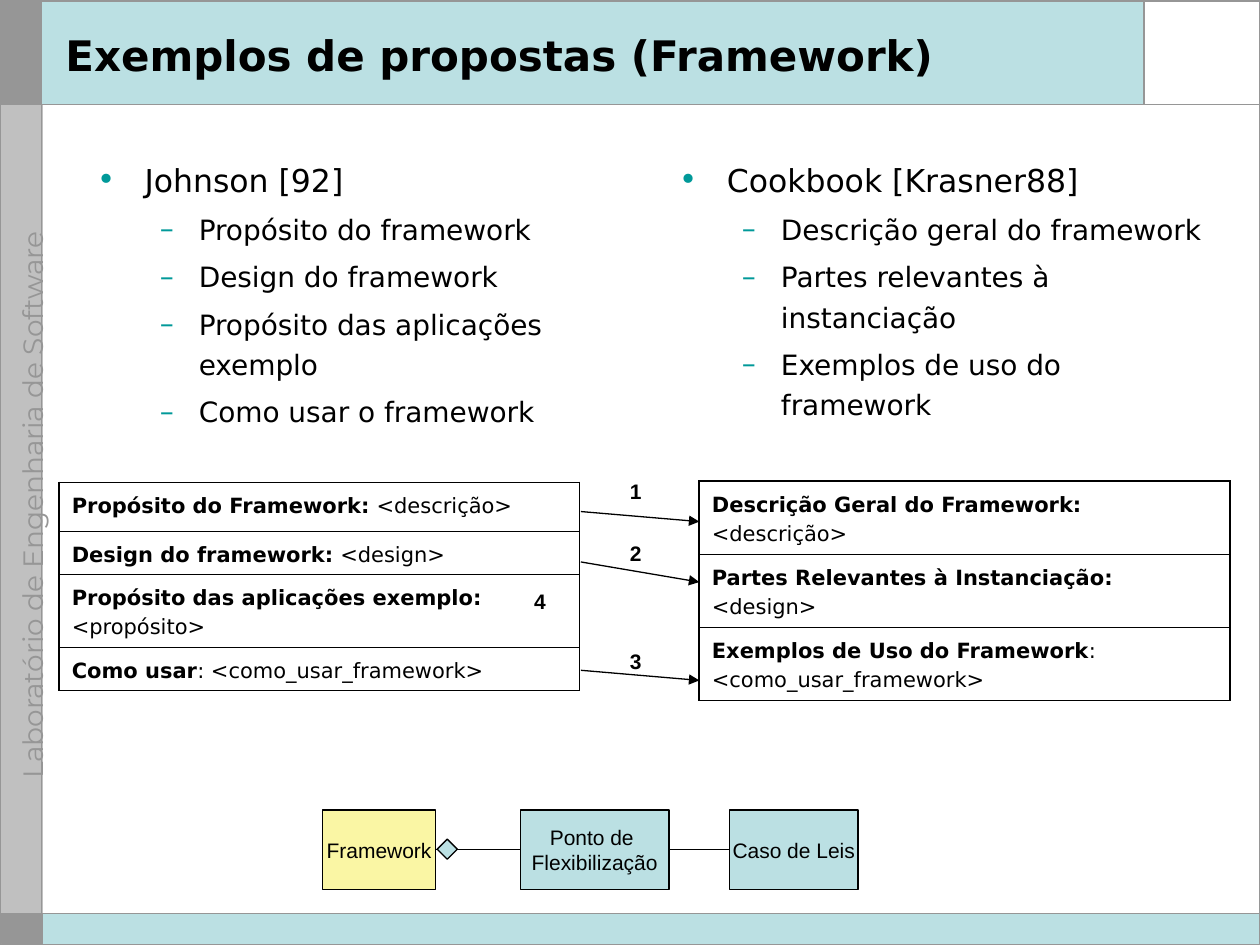
from lxml import etree
from pptx import Presentation
from pptx import util as u
from pptx.dml.color import RGBColor
from pptx.enum import shapes, text
from pptx.oxml import ns

PX = u.Inches(1) // 100
BLACK, GREY, SILVER, WHITE = "000000", "969696", "C0C0C0", "FFFFFF"
AQUA, TEAL, YELLOW = "BBE0E3", "009999", "FAF6A4"
SANS, ARIAL = "DejaVu Sans", "Arial"

PANELS = [
    ((1, 1, 33, 83), GREY, GREY),
    ((33, 0, 967, 83), AQUA, None),
    ((1, 83, 33, 642), SILVER, SILVER),
    ((908, 0, 92, 83), WHITE, None),
    ((33, 725, 967, 25), AQUA, None),
    ((1, 725, 33, 24), GREY, GREY),
]
RULES = [(908, 0, 908, 83), (0, 83, 1000, 83), (33, 0, 33, 750), (0, 725, 1000, 725)]
SIDE_LABEL = "Laboratório de Engenharia de Software"
TITLE = "Exemplos de propostas (Framework)"
LISTS = [
    (67, "Johnson [92]", ["Propósito do framework", "Design do framework",
                          "Propósito das aplicações exemplo", "Como usar o framework"]),
    (529, "Cookbook [Krasner88]", ["Descrição geral do framework",
                                   "Partes relevantes à instanciação",
                                   "Exemplos de uso do framework"]),
]
LEVELS = [
    dict(size=18, before=0, left=38, hang=38, mark="•"),
    dict(size=16, before=4, left=81, hang=31, mark="–"),
]
TABLES = [
    ((47, 383, 413), [
        (39, "Propósito do Framework:", " <descrição>"),
        (34, "Design do framework:", " <design>"),
        (58, "Propósito das aplicações exemplo:", " <propósito>"),
        (34, "Como usar", ": <como_usar_framework>"),
    ]),
    ((555, 382, 421), [
        (58, "Descrição Geral do Framework:", " <descrição>"),
        (58, "Partes Relevantes à Instanciação:", " <design>"),
        (58, "Exemplos de Uso do Framework", ": <como_usar_framework>"),
    ]),
]
ARROWS = [(461, 406, 555, 414), (461, 446, 555, 462), (461, 532, 555, 540)]
NUMBERS = [(490, 375), (490, 424), (490, 510), (414, 462)]
CLASSES = [
    (256, 90, YELLOW, "Framework"),
    (413, 118, AQUA, "Ponto de \nFlexibilização"),
    (579, 102, AQUA, "Caso de Leis"),
]
CLASS_TOP, CLASS_HEIGHT, LINK_Y = 643, 63, 674
DIAMOND = (347, 666, 16, 16)


def color(value):
    """Turn a hex string into a colour."""
    return RGBColor.from_string(value)


def assign(target, values):
    """Set every attribute named in a dict."""
    for name, value in values.items():
        setattr(target, name, value)


def scaled(lengths):
    """Turn px into EMU."""
    return [length * PX for length in lengths]


def add_node(parent, tag, **attributes):
    """Append a drawing element."""
    return etree.SubElement(parent, ns.qn(tag), attributes)


def style(para, size, face=SANS, ink=BLACK, bold=False):
    """Format all runs of a paragraph."""
    for span in para.runs:
        assign(span.font, dict(size=u.Pt(size), name=face, bold=bold))
        span.font.color.rgb = color(ink)


def add_line(page, ends, ink=BLACK, width=0.75, arrow=False):
    """Draw a straight line, optionally with an arrowhead."""
    line = page.shapes.add_connector(shapes.MSO_CONNECTOR.STRAIGHT, *scaled(ends))
    line.line.color.rgb = color(ink)
    line.line.width = u.Pt(width)
    if arrow:
        add_node(line.line._get_or_add_ln(), "a:tailEnd", type="triangle")
    add_node(line._element.spPr, "a:effectLst")


def add_block(page, frame, fill, ink, width=0.75, kind="RECTANGLE"):
    """Draw a preset shape."""
    block = page.shapes.add_shape(getattr(shapes.MSO_SHAPE, kind), *scaled(frame))
    block.shadow.inherit = False
    if fill:
        block.fill.solid()
        block.fill.fore_color.rgb = color(fill)
    else:
        block.fill.background()
    if ink:
        block.line.color.rgb = color(ink)
        block.line.width = u.Pt(width)
    else:
        block.line.fill.background()
    return block


def add_label(page, frame, words, wrap=False, **look):
    """Add a text box with one paragraph."""
    box = page.shapes.add_textbox(*scaled(frame))
    box.text_frame.word_wrap = wrap
    para = box.text_frame.paragraphs[0]
    para.text = words
    style(para, **look)
    return box


def add_list(page, left, heading, items):
    """Add a bulleted heading with dashed items."""
    box = page.shapes.add_textbox(*scaled((left, 117, 446, 584)))
    box.text_frame.word_wrap = True
    for index, words in enumerate([heading, *items]):
        level = min(index, 1)
        form = LEVELS[level]
        para = box.text_frame.paragraphs[0] if index == 0 else box.text_frame.add_paragraph()
        para.text = words
        props = para._p.get_or_add_pPr()
        props.set("marL", str(form["left"] * PX))
        props.set("indent", str(-form["hang"] * PX))
        add_node(add_node(props, "a:buClr"), "a:srgbClr", val=TEAL)
        add_node(props, "a:buFont", typeface=SANS)
        add_node(props, "a:buChar", char=form["mark"])
        assign(para, dict(level=level, line_spacing=1.2, space_before=u.Pt(form["before"])))
        style(para, form["size"])


def add_borders(cell, widths):
    """Give a cell black borders, keyed by side."""
    props = cell._tc.get_or_add_tcPr()
    for position, (side, width) in enumerate(widths.items()):
        edge = etree.Element(ns.qn(f"a:ln{side}"), w=str(u.Pt(width)))
        add_node(add_node(edge, "a:solidFill"), "a:srgbClr", val=BLACK)
        props.insert(position, edge)


def add_template(page, frame, rows):
    """Add a one-column table of bold names with placeholders."""
    left, top, width = frame
    height = sum(row[0] for row in rows)
    table = page.shapes.add_table(len(rows), 1, *scaled((left, top, width, height))).table
    assign(table, dict(first_row=False, horz_banding=False))
    for index, (row_height, name, value) in enumerate(rows):
        table.rows[index].height = row_height * PX
        cell = table.cell(index, 0)
        cell.fill.background()
        add_borders(cell, dict(L=1.08, R=1.08, T=1.08 if index == 0 else 0.45,
                               B=1.08 if index == len(rows) - 1 else 0.45))
        para = cell.text_frame.paragraphs[0]
        para.line_spacing = 1.2
        for words in (name, value):
            para.add_run().text = words
        style(para, 12)
        para.runs[0].font.bold = True


def main():
    """Build the slide."""
    deck = Presentation()
    assign(deck, dict(slide_width=1000 * PX, slide_height=750 * PX))
    page = deck.slides.add_slide(deck.slide_layouts[6])

    for frame, fill, ink in PANELS:
        add_block(page, frame, fill, ink)
    side = add_label(page, (-212, 391, 456, 18), SIDE_LABEL, size=16, face="Montserrat", ink=GREY)
    side.rotation = 270
    for ends in RULES:
        add_line(page, ends, GREY, 1)
    add_block(page, (0, 1, 1000, 749), None, GREY, 1)

    title = add_label(page, (42, 12, 858, 62), TITLE, wrap=True, size=24, bold=True)
    title.text_frame.vertical_anchor = text.MSO_ANCHOR.MIDDLE
    for left, heading, items in LISTS:
        add_list(page, left, heading, items)
    for frame, rows in TABLES:
        add_template(page, frame, rows)
    for ends in ARROWS:
        add_line(page, ends, arrow=True)
    for number, (left, top) in enumerate(NUMBERS, 1):
        add_label(page, (left, top, 29, 30), str(number), size=12, face=ARIAL, bold=True)

    for left, width, fill, name in CLASSES:
        block = add_block(page, (left, CLASS_TOP, width, CLASS_HEIGHT), fill, BLACK)
        assign(block.text_frame, dict(word_wrap=False, vertical_anchor=text.MSO_ANCHOR.MIDDLE))
        para = block.text_frame.paragraphs[0]
        para.text = name
        para.alignment = text.PP_ALIGN.CENTER
        style(para, 12, ARIAL)
    for (left, width, *_), (following, *_) in zip(CLASSES, CLASSES[1:]):
        add_line(page, (left + width, LINK_Y, following, LINK_Y))
    add_block(page, DIAMOND, AQUA, BLACK, kind="FLOWCHART_DECISION")
    deck.save("out.pptx")


if __name__ == "__main__":
    main()
